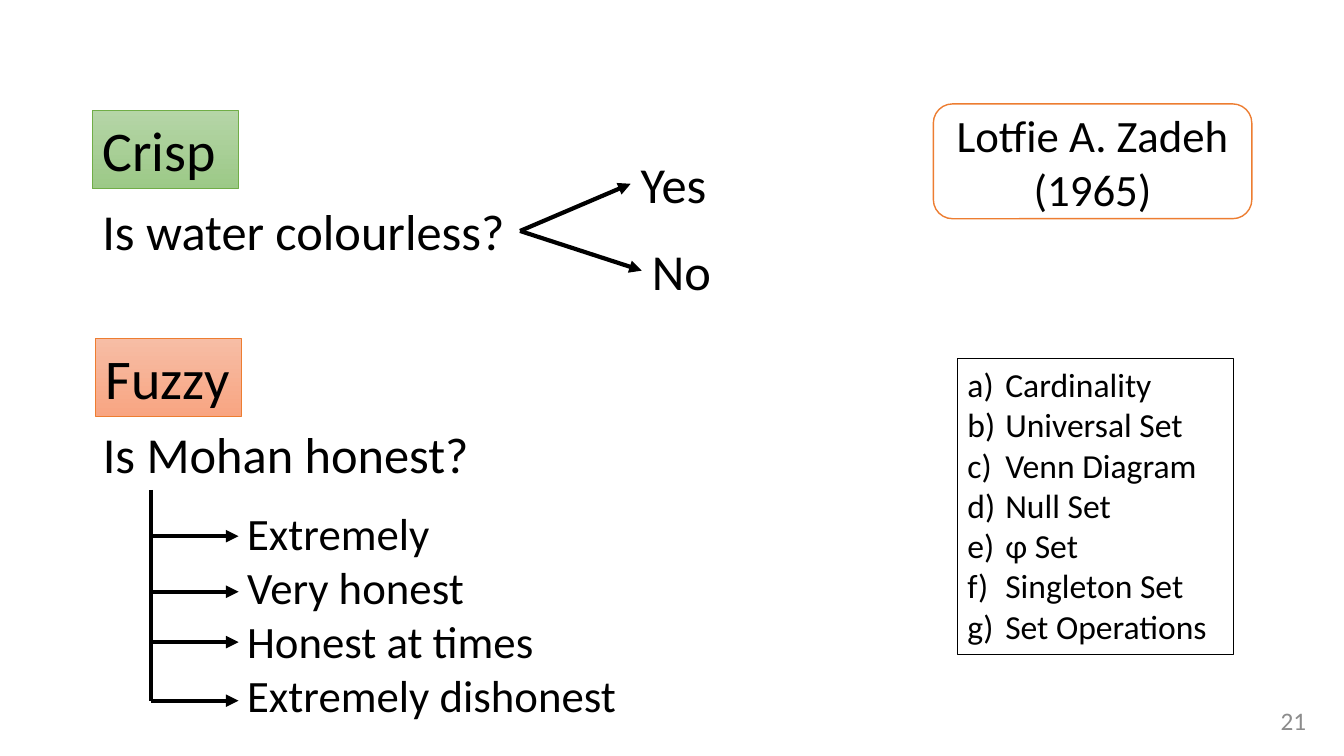
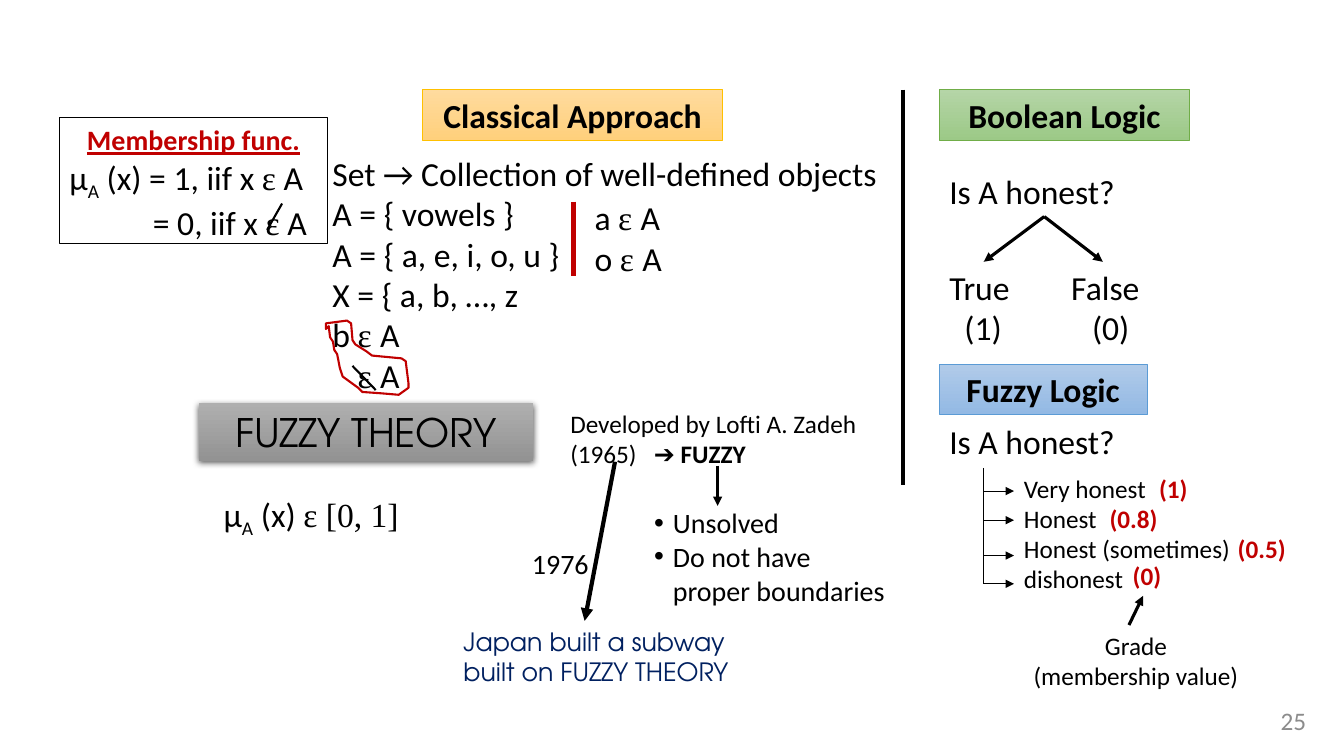
from lxml import etree
from pptx import Presentation
from pptx.dml.color import RGBColor
from pptx.enum.shapes import MSO_CONNECTOR, MSO_SHAPE
from pptx.enum.text import MSO_ANCHOR, PP_ALIGN
from pptx.oxml.ns import qn
from pptx.util import Pt

STRAIGHT = MSO_CONNECTOR.STRAIGHT
RECTANGLE, ROUNDED = MSO_SHAPE.RECTANGLE, MSO_SHAPE.ROUNDED_RECTANGLE
TOP, MIDDLE = MSO_ANCHOR.TOP, MSO_ANCHOR.MIDDLE
LEFT, CENTER, RIGHT = PP_ALIGN.LEFT, PP_ALIGN.CENTER, PP_ALIGN.RIGHT

BLACK = RGBColor(0x00, 0x00, 0x00)
WHITE = RGBColor(0xFF, 0xFF, 0xFF)
GRAY = RGBColor(0x8C, 0x8C, 0x8C)
RED = RGBColor(0xC0, 0x00, 0x00)
NAVY = RGBColor(0x00, 0x20, 0x60)
GREEN_EDGE = RGBColor(0x70, 0xAD, 0x47)
ORANGE_EDGE = RGBColor(0xED, 0x7D, 0x31)
GOLD_EDGE = RGBColor(0xFF, 0xC0, 0x00)
BLUE_EDGE = RGBColor(0x5B, 0x9B, 0xD5)

# Gradient start, gradient end, outline
GREEN = (RGBColor(0xB5, 0xD5, 0xA7), RGBColor(0x9C, 0xC9, 0x87), GREEN_EDGE)
ORANGE = (RGBColor(0xF7, 0xBD, 0xA5), RGBColor(0xF8, 0xA5, 0x82), ORANGE_EDGE)
GOLD = (RGBColor(0xFF, 0xDB, 0x9E), RGBColor(0xFF, 0xD0, 0x7C), GOLD_EDGE)
BLUE = (RGBColor(0xB1, 0xCB, 0xE9), RGBColor(0x93, 0xB9, 0xE4), BLUE_EDGE)
SILVER = (RGBColor(0xAF, 0xAF, 0xAF), RGBColor(0x93, 0x93, 0x93), None)

BODY, DISPLAY, SERIF = "Calibri", "TeX Gyre Adventor", "Times New Roman"
EPSILON = ("ε", {"font": SERIF})
EPSILON_SPACE = ("ε ", {"font": SERIF})
MU_A = ["μ", ("A", {"baseline": -25000})]


def add_xml(parent, tag, **attributes):
    return etree.SubElement(parent, qn(tag), attributes)


def add_run(paragraph, text, size, color, font, bold, underline=False, baseline=None):
    run = paragraph.add_run()
    run.text = text
    run.font.size = Pt(size)
    run.font.name = font
    run.font.bold = bold
    run.font.underline = underline
    run.font.color.rgb = color
    if baseline:
        run.font._element.set("baseline", str(baseline))


def write(shape, lines, size=24, color=BLACK, font=BODY, bold=False, underline=False,
          align=LEFT, anchor=TOP, margin=0, hanging=0, bullet=None, numbering=None, tab=None):
    """Append lines; a line is a string or a list of strings and (text, format) pairs."""
    frame = shape.text_frame
    frame.word_wrap = True
    frame.vertical_anchor = anchor
    base = {"size": size, "color": color, "font": font, "bold": bold, "underline": underline}
    for line in lines:
        paragraph = frame.paragraphs[-1]
        if paragraph.runs:
            paragraph = frame.add_paragraph()
        paragraph.alignment = align
        properties = paragraph._p.get_or_add_pPr()
        if margin:
            properties.set("marL", str(Pt(margin)))
            properties.set("indent", str(-Pt(hanging)))
        if bullet:
            add_xml(properties, "a:buFont", typeface="Arial")
            add_xml(properties, "a:buChar", char=bullet)
        if numbering:
            add_xml(properties, "a:buFont", typeface="+mj-lt")
            add_xml(properties, "a:buAutoNum", type=numbering)
        if tab:
            add_xml(add_xml(properties, "a:tabLst"), "a:tab", pos=str(Pt(tab)), algn="l")
        for part in [line] if isinstance(line, str) else line:
            text, changes = (part, {}) if isinstance(part, str) else part
            add_run(paragraph, text, **{**base, **changes})
    return shape


def add_label(slide, box, lines, **text_format):
    return write(slide.shapes.add_textbox(*map(Pt, box)), lines, **text_format)


def add_frame(slide, box, edge, width=0.75, preset=RECTANGLE, fill=None):
    shape = slide.shapes.add_shape(preset, *map(Pt, box))
    shape.shadow.inherit = False
    if fill is None:
        shape.fill.background()
    else:
        shape.fill.solid()
        shape.fill.fore_color.rgb = fill
    if edge is None:
        shape.line.fill.background()
    else:
        shape.line.color.rgb = edge
        shape.line.width = Pt(width)
    return shape


def add_tag(slide, box, text, palette, **text_format):
    start, end, edge = palette
    shape = add_frame(slide, box, edge, 0.5)
    shape.fill.gradient()
    shape.fill.gradient_angle = 270
    for stop, color in zip(shape.fill.gradient_stops, (start, end)):
        stop.color.rgb = color
    return write(shape, [text], **text_format)


def add_line(slide, start, end, width=3, color=BLACK, arrow=False):
    line = slide.shapes.add_connector(STRAIGHT, *map(Pt, (*start, *end)))
    line.line.color.rgb = color
    line.line.width = Pt(width)
    if arrow:
        add_xml(line.line._get_or_add_ln(), "a:tailEnd", type="triangle")
    add_xml(line._element.spPr, "a:effectLst")


def add_branches(slide, left, top, right, levels, width):
    """Draw a trunk with one arrow at each level below its top."""
    add_line(slide, (left, top), (left, top + levels[-1]), width)
    for level in levels:
        add_line(slide, (left, top + level), (right, top + level), width, arrow=True)


def add_page_number(slide, number):
    add_label(slide, (881, 500.4, 59, 29), [number], size=18, color=GRAY,
              align=RIGHT, anchor=MIDDLE)


def crisp_question(slide, left, top):
    add_tag(slide, (left, top, 104, 55.5), "Crisp", GREEN, size=40)
    add_label(slide, (left, top + 60.5, 306, 51), ["Is water colourless?"], size=36)
    for answer, across, down in (("Yes", 384.5, 26.6), ("No", 392.5, 88.6)):
        add_label(slide, (left + across, top + down, 67, 51), [answer], size=36)
        add_line(slide, (left + 305.5, top + 85.8),
                 (left + across, top + down + 25.5), arrow=True)


def fuzzy_question(slide, left, top):
    add_tag(slide, (left, top, 104, 55.5), "Fuzzy", ORANGE, size=40)
    add_label(slide, (left - 2, top + 57, 282, 51), ["Is Mohan honest?"], size=36)
    add_label(slide, (left + 101, top + 116, 356, 163),
              ["Extremely", "Very honest", "Honest at times", "Extremely dishonest"], size=32)
    add_branches(slide, left + 39.6, top + 108, left + 102, (33, 72.7, 108.7, 150.5), 3)


def founder(slide, box):
    shape = add_frame(slide, box, ORANGE_EDGE, 1, ROUNDED, WHITE)
    write(shape, ["Lotfie A. Zadeh", "(1965)"], size=32, align=CENTER, anchor=MIDDLE)


def set_topics(slide, box):
    topics = ["Cardinality", "Universal Set", "Venn Diagram", "Null Set", "φ Set",
              "Singleton Set", "Set Operations"]
    write(add_frame(slide, box, BLACK), topics, margin=27, hanging=27,
          numbering="alphaLcParenR")


def crisp_and_fuzzy_slide(slide):
    add_page_number(slide, "21")
    crisp_question(slide, 66, 79.2)
    fuzzy_question(slide, 68.4, 242)
    founder(slide, (666.7, 74.2, 227.5, 82))
    set_topics(slide, (684, 256.3, 197.3, 211))


def membership_function(slide, left, top):
    shape = add_frame(slide, (left, top, 191.5, 90), BLACK)
    write(shape, ["Membership func."], size=20, color=RED, bold=True, underline=True,
          align=CENTER)
    write(shape, [[*MU_A, " (x) = 1, iif x ", EPSILON, " A"]])
    write(shape, [["= 0, iif x ", EPSILON, " A"]], margin=59.7)
    add_line(slide, (left + 159, top + 61.2), (left + 148.3, top + 80), 1.5)


def excluded_element(slide, left, top):
    """Circle the element outside the set and strike its membership sign."""
    outline = [(3, 4), (4, 12), (6, 15), (7, 21), (9, 24), (11, 34), (13, 40), (24, 48),
               (27, 51), (41, 52), (53, 53), (60, 48), (60, 45), (58, 29), (55, 27), (34, 25),
               (30, 22), (22, 17), (20, 14), (19, 2), (16, 0), (1, 2), (1, 6)]
    points = [(Pt(left + x), Pt(top + y)) for x, y in outline]
    builder = slide.shapes.build_freeform(*points[0])
    builder.add_line_segments(points[1:], close=True)
    shape = builder.convert_to_shape()
    shape.shadow.inherit = False
    shape.fill.background()
    shape.line.color.rgb = RED
    shape.line.width = Pt(1.5)
    add_line(slide, (left + 20, top + 32.4), (left + 36.6, top + 49.6), 1.5)


def classical_approach(slide, left, top):
    add_tag(slide, (left + 71.3, top, 214.6, 36), "Classical Approach", GOLD,
            bold=True, align=CENTER)
    sets = add_label(slide, (left, top + 41.8, 415, 181),
                     ["Set → Collection of well-defined objects", "A = { vowels }",
                      "A = { a, e, i, o, u }", "X = { a, b, …, z",
                      ["b ", EPSILON_SPACE, "A"]])
    write(sets, [[EPSILON_SPACE, "A"]], margin=18)
    add_line(slide, (left + 179.3, top + 80), (left + 179.3, top + 133.2), color=RED)
    add_label(slide, (left + 187.2, top + 73.4, 66, 65.5),
              [[element, EPSILON_SPACE, "A"] for element in ("a ", "o ")])
    excluded_element(slide, left + 1.4, top + 165)


def fuzzy_theory(slide, left, top):
    tag = add_tag(slide, (left, top, 239, 41), "FUZZY THEORY", SILVER,
                  size=28, font=DISPLAY, align=CENTER)
    effects = tag._element.spPr.find(qn("a:effectLst"))
    shadow = add_xml(effects, "a:outerShdw", blurRad=str(Pt(4.5)), dist=str(Pt(1.5)),
                     dir="5400000", algn="ctr", rotWithShape="0")
    add_xml(add_xml(shadow, "a:srgbClr", val=str(BLACK)), "a:alpha", val="63000")
    add_label(slide, (left + 10.8, top + 61.2, 149, 36),
              [[*MU_A, " (x) ", ("ε [0, 1]", {"font": SERIF})]])


def fuzzy_history(slide, left, top):
    add_label(slide, (left, top, 224, 51),
              ["Developed by Lofti A. Zadeh", ["(1965)\t➔ ", ("FUZZY", {"bold": True})]],
              size=18, tab=59.6)
    add_line(slide, (left + 112.3, top + 44.6), (left + 112.3, top + 73.4), 2.25, arrow=True)
    add_label(slide, (left + 59.8, top + 69.8, 185, 80),
              ["Unsolved", "Do not have proper boundaries"],
              size=20, margin=13.5, hanging=13.5, bullet="•")
    add_line(slide, (left + 39, top + 41.8), (left + 17.3, top + 155.5), arrow=True)
    add_label(slide, (left - 27.4, top + 98.6, 60.5, 31.7), ["1976"], size=20)
    add_label(slide, (left - 76.3, top + 155.5, 224, 51),
              ["Japan built a subway built on FUZZY THEORY"],
              size=18, color=NAVY, font=DISPLAY)


def boolean_logic(slide, left, top):
    add_tag(slide, (left, top, 178.6, 36), "Boolean Logic", GREEN, bold=True, align=CENTER)
    add_label(slide, (left, top + 54.7, 150, 36), ["Is A honest?"])
    for answer, value, across, width, tip in (("True", "(1)", 0, 62.6, 31.7),
                                              ("False", "(0)", 87.1, 70.6, 116.7)):
        label = add_label(slide, (left + across, top + 123, width, 65.5), [answer])
        write(label, [value], align=CENTER)
        add_line(slide, (left + 74.9, top + 90.7), (left + tip, top + 123), 2.25, arrow=True)


def fuzzy_logic(slide, left, top):
    add_tag(slide, (left, top, 148.3, 36), "Fuzzy Logic", BLUE, bold=True, align=CENTER)
    add_label(slide, (left, top + 37.4, 150, 36), ["Is A honest?"])
    add_label(slide, (left + 53.3, top + 74.2, 168.5, 94),
              ["Very honest", "Honest", "Honest (sometimes)", "dishonest"], size=18)
    add_branches(slide, left + 31.7, top + 74.2, left + 53.3, (16.6, 37.4, 62.6, 82.8), 0.5)
    for grade, across, down in (("(1)", 149.8, 74.2), ("(0.8)", 114.5, 95.8),
                                ("(0.5)", 206, 117.4), ("(0)", 131, 136.8)):
        add_label(slide, (left + across, top + down, 60, 29), [grade],
                  size=18, color=RED, bold=True)
    add_label(slide, (left + 56.2, top + 186.5, 168.5, 51),
              ["Grade", "(membership value)"], size=18, align=CENTER)
    add_line(slide, (left + 135.4, top + 186.5), (left + 145.5, top + 165.6), 2.25, arrow=True)


def logic_comparison_slide(slide):
    add_page_number(slide, "25")
    classical_approach(slide, 230.4, 64)
    add_line(slide, (645, 64), (645, 346.3))
    membership_function(slide, 42.5, 84.2)
    fuzzy_theory(slide, 141.8, 288)
    fuzzy_history(slide, 400.3, 288)
    boolean_logic(slide, 671, 64)
    fuzzy_logic(slide, 671, 260)


def main():
    presentation = Presentation()
    presentation.slide_width, presentation.slide_height = Pt(960), Pt(540)
    blank = presentation.slide_layouts[6]
    for build in (crisp_and_fuzzy_slide, logic_comparison_slide):
        build(presentation.slides.add_slide(blank))
    presentation.save("out.pptx")


if __name__ == "__main__":
    main()
